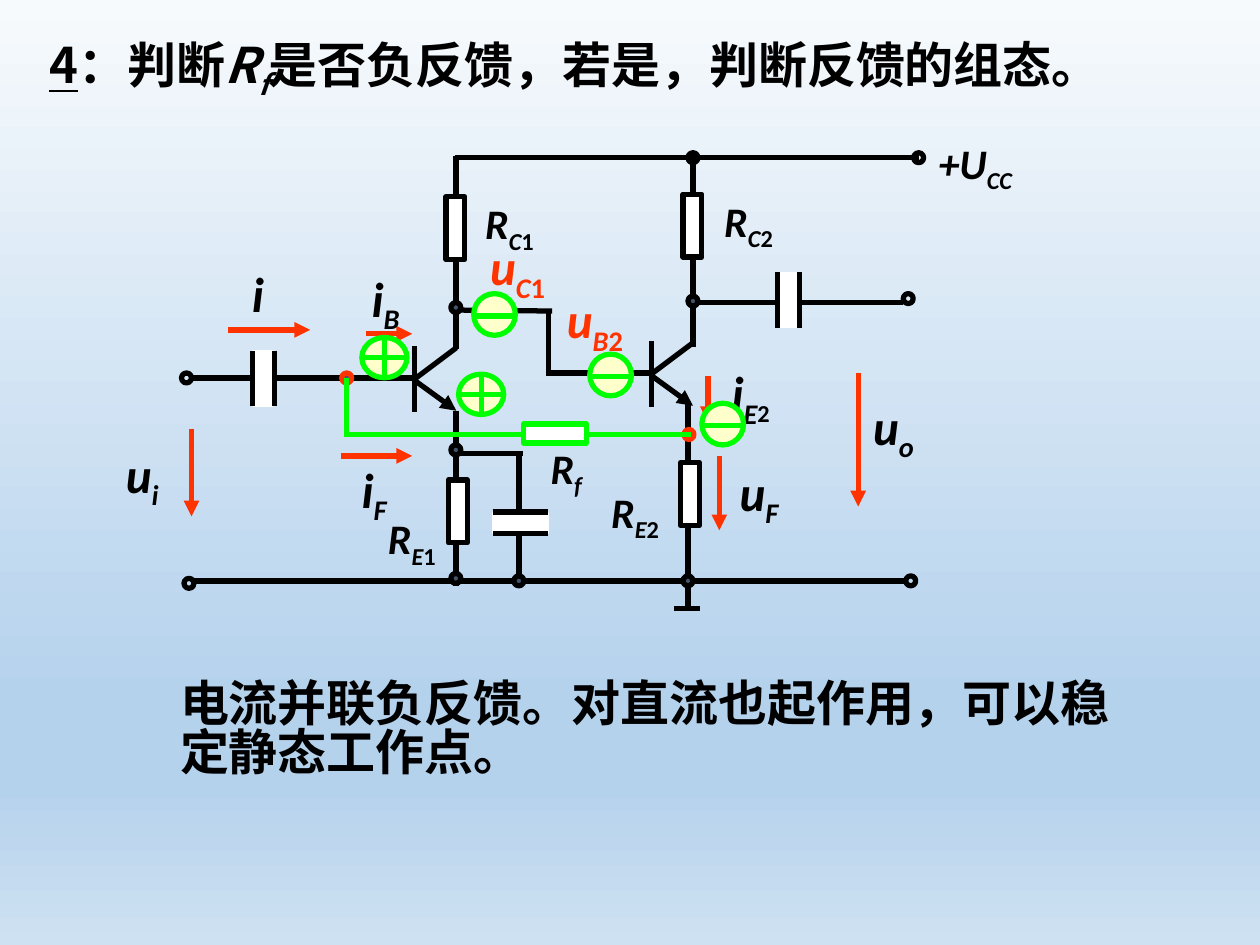
"""Build the slide on judging the feedback of a two-stage transistor amplifier."""
from dataclasses import dataclass

from lxml.etree import SubElement
from pptx import Presentation
from pptx.dml.color import RGBColor
from pptx.enum.shapes import MSO_CONNECTOR as CONN, MSO_SHAPE as SHAPE
from pptx.enum.text import MSO_ANCHOR as ANCHOR, MSO_AUTO_SIZE as AUTO, PP_ALIGN as ALIGN
from pptx.oxml.ns import qn
from pptx.util import Cm, Pt

BLACK = RGBColor(0x00, 0x00, 0x00)
WHITE = RGBColor(0xFF, 0xFF, 0xFF)
RED = RGBColor(0xFF, 0x33, 0x00)
GREEN = RGBColor(0x00, 0xFF, 0x00)
CREAM = RGBColor(0xFF, 0xFF, 0xCC)
SLATE = RGBColor(0x44, 0x54, 0x6A)
BACKGROUND = [(0, "F7FAFD"), (74, "B5D2EC"), (83, "B5D2EC"), (100, "CEE1F2")]
CJK, LATIN = "Noto Sans CJK SC", "Calibri"


@dataclass(frozen=True)
class Wire:
    x1: float
    y1: float
    x2: float
    y2: float
    color: RGBColor = BLACK
    arrow: bool = False


@dataclass(frozen=True)
class Node:
    x: float
    y: float
    fill: RGBColor | None = SLATE
    color: RGBColor = BLACK


@dataclass(frozen=True)
class Part:
    x: float
    y: float
    horizontal: bool = False
    color: RGBColor = BLACK


@dataclass(frozen=True)
class Label:
    x: float
    y: float
    text: str
    sub: str = ""
    digit: str = ""
    width: float = 1.7
    size: int = 28
    color: RGBColor = BLACK
    digit_size: int | None = None


WIRES = [
    Wire(9.19, 8.28, 9.19, 11.81), Wire(9.19, 7.04, 9.19, 3.15),
    Wire(8.36, 7.62, 3.81, 7.62), Wire(9.19, 6.25, 11.13, 6.27),
    Wire(13.87, 8.1, 13.87, 11.71), Wire(13.97, 6.99, 13.97, 3.12),
    Wire(13.92, 6.1, 18.21, 6.1), Wire(3.86, 11.71, 18.26, 11.71),
    Wire(9.19, 9.14, 10.54, 9.14), Wire(10.46, 9.19, 10.46, 11.71),
    Wire(13.08, 7.52, 11.05, 7.52), Wire(11.05, 6.27, 11.05, 7.57),
    Wire(13.87, 11.73, 13.87, 12.32), Wire(13.59, 12.27, 14.12, 12.27),
    Wire(9.17, 3.18, 18.52, 3.18),
]
TRANSISTORS = [(8.36, 7.64), (13.13, 7.54)]
NODES = [
    Node(9.19, 6.2), Node(13.87, 11.71), Node(9.19, 11.66), Node(13.97, 6.07),
    Node(9.19, 9.07), Node(10.46, 11.71), Node(13.97, 3.18, BLACK),
    Node(13.89, 8.76, color=RED), Node(6.99, 7.62, color=RED),
    Node(3.76, 7.62, None), Node(3.81, 11.76, None), Node(18.52, 3.18, None),
    Node(18.31, 6.02, None), Node(18.36, 11.71, None),
]
RESISTORS = [Part(13.96, 4.55), Part(9.18, 4.6), Part(9.23, 10.31), Part(13.91, 9.96)]
CAPACITORS = [Part(5.31, 7.63), Part(15.89, 6.05), Part(10.49, 10.54, True)]
FEEDBACK_WIRES = [Wire(6.99, 7.62, 6.99, 8.81, GREEN), Wire(6.93, 8.76, 13.92, 8.76, GREEN)]
FEEDBACK_RESISTOR = Part(11.19, 8.74, True, GREEN)
ARROWS = [
    Wire(17.3, 7.52, 17.3, 10.21, RED, True), Wire(3.86, 8.64, 3.86, 10.41, RED, True),
    Wire(4.6, 6.65, 6.25, 6.65, RED, True), Wire(7.37, 6.73, 8.31, 6.73, RED, True),
    Wire(6.88, 9.19, 8.31, 9.19, RED, True), Wire(14.5, 9.19, 14.5, 10.69, RED, True),
    Wire(14.27, 7.57, 14.27, 8.51, RED, True),
]
LABELS = [
    Label(17.35, 7.87, "u", "o"), Label(2.29, 8.84, "u", "i"), Label(4.83, 5.18, "i"),
    Label(7.24, 5.28, "i", "B"), Label(7.04, 9.14, "i", "F"), Label(14.66, 9.19, "u", "F"),
    Label(12.07, 9.68, "R", "E", "2", 2.11, 24), Label(10.85, 8.79, "R", "f", "", 2.11, 24),
    Label(7.57, 10.21, "R", "E", "1", 2.11, 24), Label(9.53, 3.86, "R", "C", "1", 2.11, 24),
    Label(14.35, 3.81, "R", "C", "2", 2.11, 24), Label(18.67, 2.64, "+U", "CC", "", 3.07, 24),
    Label(14.5, 7.19, "i", "E", "2", digit_size=24),
    Label(9.63, 4.65, "u", "C", "1", 3.76, color=RED),
    Label(11.18, 5.72, "u", "B", "2", 3.76, color=RED),
]
PLUS_SIGNS = [(9.7, 7.95), (7.75, 7.21)]
MINUS_SIGNS = [(9.97, 6.34), (12.31, 7.56), (14.57, 8.55)]


def add_wire(s, w: Wire) -> None:
    cxn = s.shapes.add_connector(CONN.STRAIGHT, Cm(w.x1), Cm(w.y1), Cm(w.x2), Cm(w.y2))
    cxn.line.color.rgb = w.color
    cxn.line.width = Pt(3)
    sppr = cxn._element.spPr
    if w.arrow:
        SubElement(sppr.find(qn("a:ln")), qn("a:tailEnd"), type="triangle")
    SubElement(sppr, qn("a:effectLst"))


def add_centred(s, kind: SHAPE, x: float, y: float, w: float, h: float,
                fill: RGBColor | None, color: RGBColor) -> None:
    sp = s.shapes.add_shape(kind, Cm(x - w / 2), Cm(y - h / 2), Cm(w), Cm(h))
    sp.shadow.inherit = False
    if fill is None:
        sp.fill.background()
    else:
        sp.fill.solid()
        sp.fill.fore_color.rgb = fill
    sp.line.color.rgb = color
    sp.line.width = Pt(3)


def add_transistor(s, x: float, y: float) -> None:
    add_wire(s, Wire(x, y - 0.66, x, y + 0.66))
    add_wire(s, Wire(x, y, x + 0.84, y - 0.63))
    add_wire(s, Wire(x, y + 0.03, x + 0.84, y + 0.64, arrow=True))


def add_resistor(s, part: Part) -> None:
    w, h = (1.27, 0.38) if part.horizontal else (0.38, 1.27)
    add_centred(s, SHAPE.RECTANGLE, part.x, part.y, w, h, WHITE, part.color)


def add_capacitor(s, part: Part) -> None:
    x, y, gap, half = part.x, part.y, 0.22, 0.56
    w, h = (1.04, 0.38) if part.horizontal else (0.38, 1.04)
    add_centred(s, SHAPE.RECTANGLE, x, y, w, h, WHITE, WHITE)
    for d in (-gap, gap):
        if part.horizontal:
            add_wire(s, Wire(x - half, y + d, x + half, y + d))
        else:
            add_wire(s, Wire(x + d, y - half, x + d, y + half))


def add_minus(s, x: float, y: float) -> None:
    add_centred(s, SHAPE.OVAL, x, y, 0.84, 0.84, CREAM, GREEN)
    add_wire(s, Wire(x - 0.44, y + 0.03, x + 0.44, y + 0.03, GREEN))


def add_run(p, text: str, *, font: str = CJK, size: int = 28, color: RGBColor = BLACK,
            italic: bool = False, underline: bool = False, sub: bool = False) -> None:
    r = p.add_run()
    r.text = text
    f = r.font
    f.name, f.size, f.bold, f.italic, f.underline = font, Pt(size), True, italic, underline
    f.color.rgb = color
    SubElement(r._r.rPr, qn("a:ea"), typeface=font)
    if sub:
        r._r.rPr.set("baseline", "-25000")


def setup_text(sp, spacing: float = 1.0):
    tf = sp.text_frame
    tf.word_wrap, tf.auto_size, tf.vertical_anchor = True, AUTO.NONE, ANCHOR.TOP
    p = tf.paragraphs[0]
    p.alignment, p.line_spacing, p.space_before = ALIGN.LEFT, spacing, Pt(0)
    return p


def add_label(s, lb: Label) -> None:
    height = 1.45 if lb.size == 28 else 1.27
    p = setup_text(s.shapes.add_textbox(Cm(lb.x), Cm(lb.y), Cm(lb.width), Cm(height)))
    fmt = {"font": LATIN, "color": lb.color}
    add_run(p, lb.text, size=lb.size, italic=True, **fmt)
    if lb.sub:
        add_run(p, lb.sub, size=lb.size, italic=True, sub=True, **fmt)
    if lb.digit:
        add_run(p, lb.digit, size=lb.digit_size or lb.size, sub=True, **fmt)


def set_background(s) -> None:
    fill = s.background.fill
    fill.gradient()
    fill.gradient_angle = 270
    stops = s._element.xpath(".//a:gsLst")[0]
    for stop in list(stops):
        stops.remove(stop)
    for pos, color in BACKGROUND:
        stop = SubElement(stops, qn("a:gs"), pos=str(pos * 1000))
        SubElement(stop, qn("a:srgbClr"), val=color)


def add_texts(s) -> None:
    title = s.shapes.title
    title.left, title.top, title.width, title.height = Cm(0.74), Cm(0.66), Cm(23.57), Cm(1.45)
    p = setup_text(title, 0.83)
    add_run(p, "4", underline=True)
    add_run(p, "：判断")
    add_run(p, "R", italic=True)
    add_run(p, "f", italic=True, sub=True)
    add_run(p, "是否负反馈，若是，判断反馈的组态。")
    answer = s.shapes.add_textbox(Cm(3.38), Cm(13.64), Cm(19.89), Cm(2.67))
    add_run(setup_text(answer, 0.83), "电流并联负反馈。对直流也起作用，可以稳定静态工作点。")


def main() -> None:
    prs = Presentation()
    prs.slide_width, prs.slide_height = Cm(25.4), Cm(19.05)
    s = prs.slides.add_slide(prs.slide_layouts[5])
    set_background(s)
    add_texts(s)
    for draw, items in [(add_wire, WIRES), (add_resistor, RESISTORS), (add_capacitor, CAPACITORS)]:
        for item in items:
            draw(s, item)
    for x, y in TRANSISTORS:
        add_transistor(s, x, y)
    for n in NODES:
        add_centred(s, SHAPE.OVAL, n.x, n.y, 0.2, 0.2, n.fill, n.color)
    for w in FEEDBACK_WIRES:
        add_wire(s, w)
    add_resistor(s, FEEDBACK_RESISTOR)
    for w in ARROWS:
        add_wire(s, w)
    for lb in LABELS:
        add_label(s, lb)
    for x, y in PLUS_SIGNS:
        add_centred(s, SHAPE.FLOWCHART_OR, x, y, 0.91, 0.81, CREAM, GREEN)
    for x, y in MINUS_SIGNS:
        add_minus(s, x, y)
    prs.save("out.pptx")


if __name__ == "__main__":
    main()
